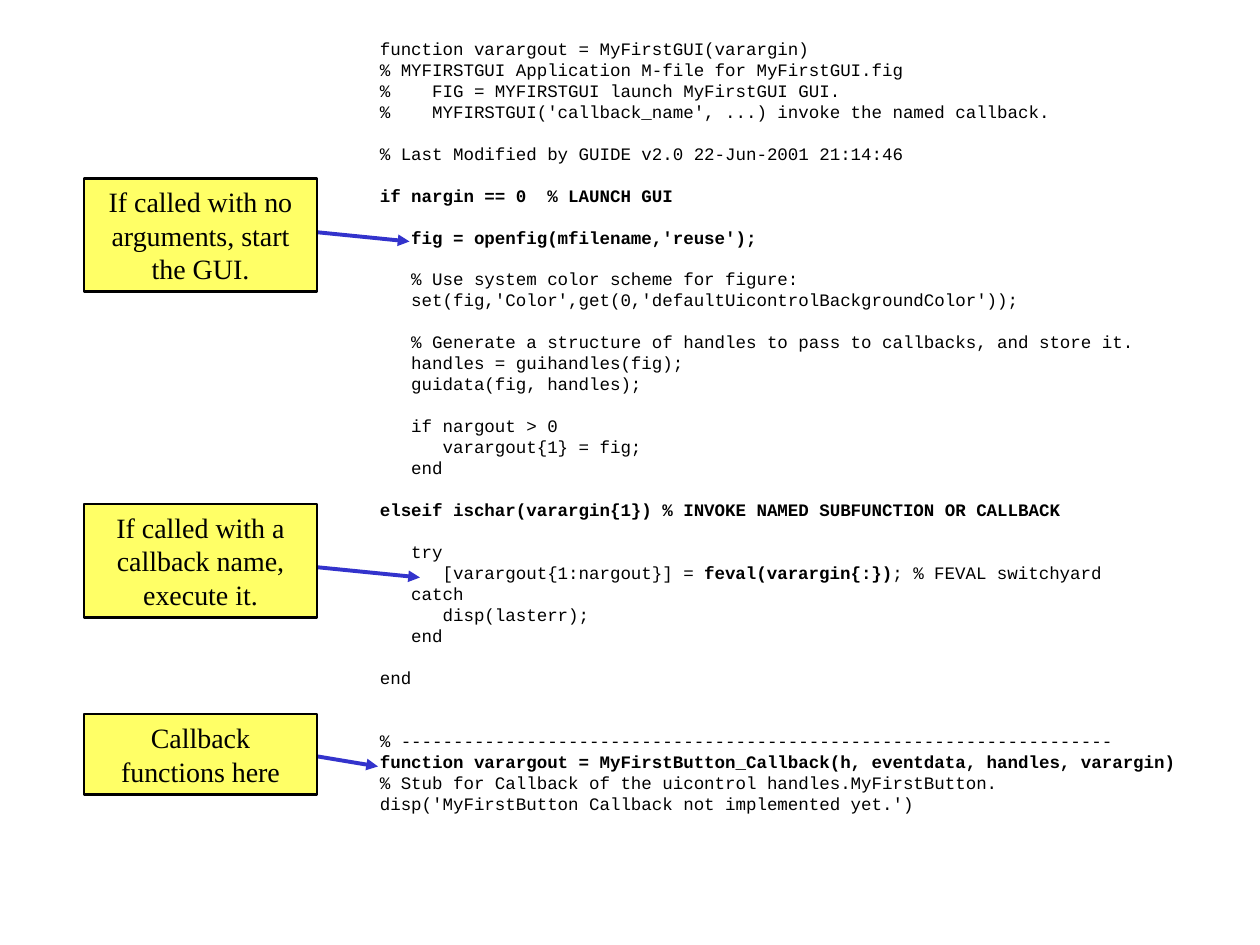
from lxml import etree
from pptx import Presentation
from pptx.dml.color import RGBColor
from pptx.enum.shapes import MSO_CONNECTOR, MSO_SHAPE
from pptx.enum.text import PP_ALIGN
from pptx.oxml.ns import qn
from pptx.util import Pt

RECT = MSO_SHAPE.RECTANGLE
STRAIGHT = MSO_CONNECTOR.STRAIGHT
CENTER = PP_ALIGN.CENTER

# Code between ** marks is bold; an empty line becomes space before the next one.
CODE = [
    "function varargout = MyFirstGUI(varargin)",
    "% MYFIRSTGUI Application M-file for MyFirstGUI.fig",
    "%    FIG = MYFIRSTGUI launch MyFirstGUI GUI.",
    "%    MYFIRSTGUI('callback_name', ...) invoke the named callback.",
    "",
    "% Last Modified by GUIDE v2.0 22-Jun-2001 21:14:46",
    "",
    "**if nargin == 0  % LAUNCH GUI**",
    "",
    "**   fig = openfig(mfilename,'reuse');**",
    "",
    "   % Use system color scheme for figure:",
    "   set(fig,'Color',get(0,'defaultUicontrolBackgroundColor'));",
    "",
    "   % Generate a structure of handles to pass to callbacks, and store it.",
    "   handles = guihandles(fig);",
    "   guidata(fig, handles);",
    "",
    "   if nargout > 0",
    "      varargout{1} = fig;",
    "   end",
    "",
    "**elseif ischar(varargin{1}) % INVOKE NAMED SUBFUNCTION OR CALLBACK**",
    "",
    "   try",
    "      [varargout{1:nargout}] = **feval(varargin{:})**; % FEVAL switchyard",
    "   catch",
    "      disp(lasterr);",
    "   end",
    "",
    "end",
    "",
    "",
    "% --------------------------------------------------------------------",
    "**function varargout = MyFirstButton_Callback(h, eventdata, handles, varargin)**",
    "% Stub for Callback of the uicontrol handles.MyFirstButton.",
    "disp('MyFirstButton Callback not implemented yet.')",
]

# text, top, height, arrow start, arrow end
CALLOUTS = [
    ("If called with no arguments, start the GUI.", 102, 64.8, (174, 132), (234, 138)),
    ("If called with a callback name, execute it.", 288, 64.8, (180, 324), (240, 330)),
    ("Callback functions here", 408, 46, (180, 432), (216, 438)),
]
CALLOUT_LEFT, CALLOUT_WIDTH = 48, 133.2
CODE_BOX = (210, 18, 486, 464.4)
CODE_SIZE, CALLOUT_SIZE = 10, 16
LEADING = 1.2


def color(hex_string):
    return RGBColor.from_string(hex_string)


def set_font(p, name, size):
    p.line_spacing = Pt(size * LEADING)
    p.font.name = name
    p.font.size = Pt(size)
    p.font.color.rgb = color("000000")


def add_code(s):
    tf = s.shapes.add_textbox(*map(Pt, CODE_BOX)).text_frame
    tf.word_wrap = True
    p, blanks = None, 0
    for line in CODE:
        if not line:
            blanks += 1
            continue
        p = tf.add_paragraph() if p else tf.paragraphs[0]
        if blanks:
            p.space_before = Pt(blanks * CODE_SIZE * LEADING)
            blanks = 0
        set_font(p, "Courier New", CODE_SIZE)
        for i, part in enumerate(line.split("**")):
            if part:
                r = p.add_run()
                r.text = part
                r.font.bold = i % 2 == 1


def add_arrow(s, start, end):
    arrow = s.shapes.add_connector(STRAIGHT, *map(Pt, start + end))
    arrow.line.color.rgb = color("3333CC")
    arrow.line.width = Pt(2.25)
    etree.SubElement(arrow.line._get_or_add_ln(), qn("a:tailEnd"), type="triangle")
    etree.SubElement(arrow._element.spPr, qn("a:effectLst"))


def add_callout(s, text, top, height):
    sp = s.shapes.add_shape(RECT, *map(Pt, (CALLOUT_LEFT, top, CALLOUT_WIDTH, height)))
    sp.shadow.inherit = False
    sp.fill.solid()
    sp.fill.fore_color.rgb = color("FFFF66")
    sp.line.color.rgb = color("000000")
    sp.line.width = Pt(1.5)
    tf = sp.text_frame
    tf.word_wrap = True
    p = tf.paragraphs[0]
    p.text = text
    p.alignment = CENTER
    set_font(p, "Times New Roman", CALLOUT_SIZE)


def main():
    prs = Presentation()
    prs.slide_width, prs.slide_height = Pt(720), Pt(540)
    s = prs.slides.add_slide(prs.slide_layouts[6])
    add_code(s)
    for text, top, height, start, end in CALLOUTS:
        add_arrow(s, start, end)
        add_callout(s, text, top, height)
    prs.save("out.pptx")


if __name__ == "__main__":
    main()
